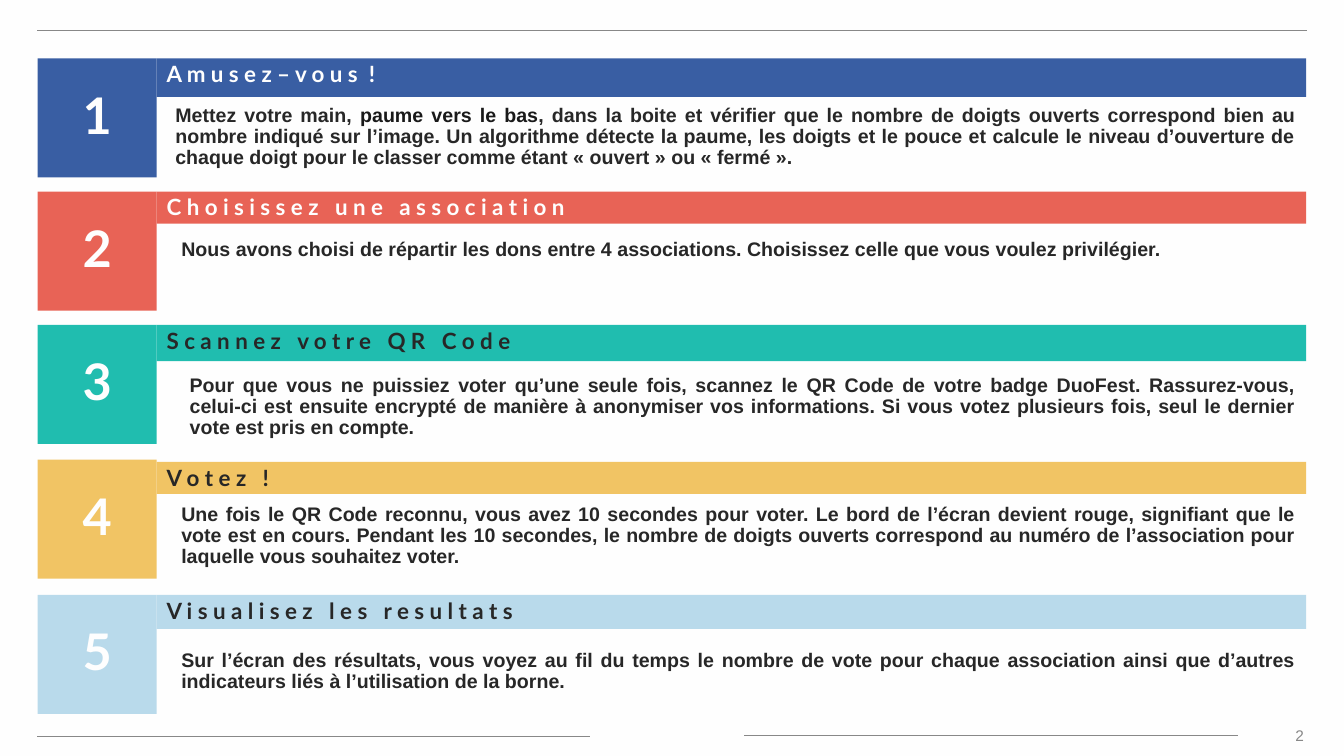
from pptx import Presentation
from pptx.dml.color import RGBColor
from pptx.enum.shapes import MSO_CONNECTOR as Connector, MSO_SHAPE as Shape
from pptx.enum.text import MSO_ANCHOR as Anchor, PP_ALIGN as Align
from pptx.util import Cm, Pt
from lxml.etree import SubElement
from pptx.oxml.ns import qn

COLOURS = {
    "paper": "FEFEFE", "ink": "272727", "dark": "191919", "grey": "888888",
    "blue": "395EA3", "red": "E86356", "teal": "20BDAF",
    "yellow": "F1C464", "sky": "B9DAEB",
}

STEPS = [
    dict(title="Amusez–vous !", fill="blue", title_colour="paper", word_gap=390,
         top=1.47, bar=(1.47, 0.97), body=(4.17, 2.54, 2.39),
         text=[("Mettez votre main, ", "ink"), ("paume vers le bas", "dark"),
               (", dans la boite et vérifier que le nombre de doigts ouverts correspond bien au "
                "nombre indiqué sur l’image. Un algorithme détecte la paume, les doigts et le pouce "
                "et calcule le niveau d’ouverture de chaque doigt pour le classer comme étant "
                "« ouvert » ou « fermé ».", "ink")]),
    dict(title="Choisissez une association", fill="red", title_colour="paper", word_gap=780,
         top=4.83, bar=(4.83, 0.81), body=(4.32, 5.92, 1.9),
         text=[("Nous avons choisi de répartir les dons entre 4 associations. "
                "Choisissez celle que vous voulez privilégier.", "ink")]),
    dict(title="Scannez votre QR Code", fill="teal", title_colour="ink", word_gap=780,
         top=8.19, bar=(8.19, 0.91), body=(4.53, 9.34, 1.85),
         text=[("Pour que vous ne puissiez voter qu’une seule fois, scannez le QR Code de votre "
                "badge DuoFest. Rassurez-vous, celui-ci est ensuite encrypté de manière à anonymiser "
                "vos informations. Si vous votez plusieurs fois, seul le dernier vote est pris en "
                "compte.", "ink")]),
    dict(title="Votez !", fill="yellow", title_colour="ink", word_gap=780,
         top=11.58, bar=(11.64, 0.81), body=(4.32, 12.58, 2.01),
         text=[("Une fois le QR Code reconnu, vous avez 10 secondes pour voter. Le bord de l’écran "
                "devient rouge, signifiant que le vote est en cours. Pendant les 10 secondes, le "
                "nombre de doigts ouverts correspond au numéro de l’association pour laquelle vous "
                "souhaitez voter.", "ink")]),
    dict(title="Visualisez les resultats", fill="sky", title_colour="ink", word_gap=780,
         top=14.99, bar=(14.99, 0.86), body=(4.32, 16.26, 2.13),
         text=[("Sur l’écran des résultats, vous voyez au fil du temps le nombre de vote pour chaque "
                "association ainsi que d’autres indicateurs liés à l’utilisation de la borne.", "ink")]),
]

RULES = [(0.94, 32.94, 0.77), (0.94, 14.86, 18.56), (18.75, 31.19, 18.52)]
PAGE_NUMBER = "2"

LEFT, SQUARE, RIGHT = 0.95, 3, 32.92
BAR_LEFT = LEFT + SQUARE


def rgb(name):
    return RGBColor.from_string(COLOURS[name])


def spread_title(title, colour, word_gap):
    runs = []
    for word in title.split():
        if runs:
            runs.append((" ", colour, word_gap))
        runs.append((" ".join(word), colour))
    return runs


def add_text(page, runs, left, top, width, height, *, size, font="Lato", bold=True, fill=None,
             align=Align.LEFT, anchor=Anchor.TOP, leading=0.9, before=0):
    area = Cm(left), Cm(top), Cm(width), Cm(height)
    if fill:
        box = page.shapes.add_shape(Shape.RECTANGLE, *area)
        box.shadow.inherit = False
        box.fill.solid()
        box.fill.fore_color.rgb = rgb(fill)
        box.line.fill.background()
    else:
        box = page.shapes.add_textbox(*area)
    frame = box.text_frame
    frame.word_wrap = True
    frame.vertical_anchor = anchor
    para = frame.paragraphs[0]
    para.alignment = align
    para.line_spacing = leading
    para.space_before = Pt(before)
    for text, colour, *gap in runs:
        span = para.add_run()
        span.text = text
        span.font.name = font
        span.font.size = Pt(size)
        span.font.bold = bold
        span.font.color.rgb = rgb(colour)
        if gap:
            span._r.get_or_add_rPr().set("spc", str(gap[0]))


def add_rule(page, start, end, y):
    rule = page.shapes.add_connector(Connector.STRAIGHT, Cm(start), Cm(y), Cm(end), Cm(y))
    rule.line.color.rgb = rgb("grey")
    rule.line.width = Pt(0.5)
    SubElement(rule._element.spPr, qn("a:effectLst"))


def add_step(page, number, step):
    add_text(page, [(str(number), "paper")], LEFT, step["top"], SQUARE, SQUARE, size=36,
             fill=step["fill"], align=Align.CENTER, anchor=Anchor.MIDDLE, before=10)
    bar_top, bar_height = step["bar"]
    title = spread_title(step["title"], step["title_colour"], step["word_gap"])
    add_text(page, title, BAR_LEFT, bar_top, RIGHT - BAR_LEFT, bar_height, size=16,
             fill=step["fill"], before=10)
    left, top, height = step["body"]
    add_text(page, step["text"], left, top, RIGHT - left, height, size=14, font="Arial",
             align=Align.JUSTIFY, leading=Pt(15))


def main():
    deck = Presentation()
    deck.slide_width, deck.slide_height = Cm(33.87), Cm(19.05)
    page = deck.slides.add_slide(deck.slide_layouts[6])
    page.background.fill.solid()
    page.background.fill.fore_color.rgb = rgb("paper")
    for rule in RULES:
        add_rule(page, *rule)
    add_text(page, [(PAGE_NUMBER, "grey")], 32.08, 18.16, 1.35, 0.74, size=11, font="Arial",
             bold=False, align=Align.CENTER, anchor=Anchor.MIDDLE, leading=1.0)
    for number, step in enumerate(STEPS, start=1):
        add_step(page, number, step)
    deck.save("out.pptx")


if __name__ == "__main__":
    main()
